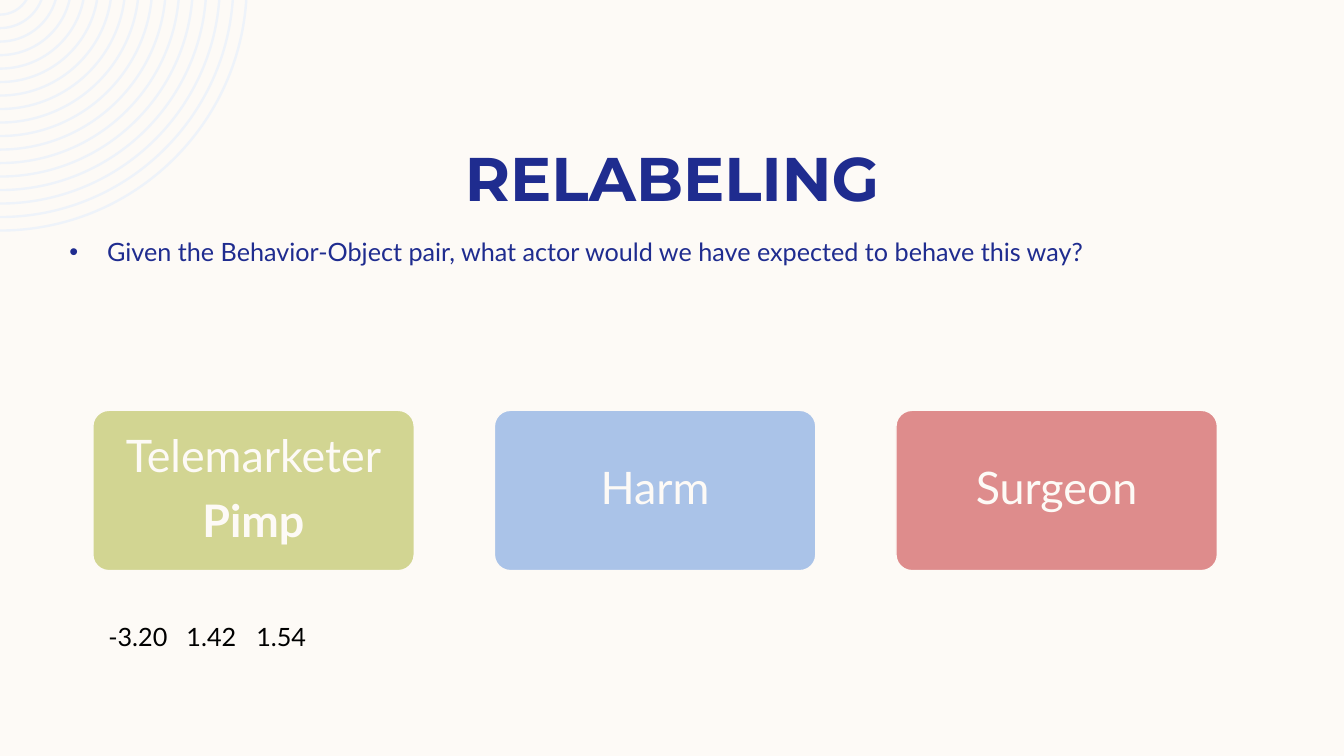
import math
from dataclasses import dataclass

import pptx
import pptx.dml.color
import pptx.enum.shapes
import pptx.enum.text
import pptx.util
from lxml import etree

Cm, Pt = pptx.util.Cm, pptx.util.Pt
qn = pptx.oxml.ns.qn
ALIGN = pptx.enum.text.PP_ALIGN
ANCHOR = pptx.enum.text.MSO_ANCHOR

TITLE = "RELABELING"
QUESTION = ("Given the Behavior-Object pair, what actor would we have "
            "expected to behave this way?")
CARDS = [  # lines as (text, bold), fill
    ([("Telemarketer", False), ("Pimp", True)], "D2D592"),
    ([("Harm", False)], "AAC3E8"),
    ([("Surgeon", False)], "DE8C8C"),
]
RATINGS = ["-3.20", "1.42", "1.54"]
RATING_STOPS = [1.97, 3.73]


@dataclass(frozen=True)
class Theme:
    paper: str = "FDFAF6"
    ring: str = "EEF3FA"
    navy: str = "1F2C8F"
    black: str = "000000"
    heading: str = "Montserrat"
    body: str = "Lato"
    title_size: float = 44
    card_size: float = 32
    text_size: float = 18


THEME = Theme()
RING_COUNT, RING_OUTER, RING_STEP, RING_WIDTH = 17, 6.25, 0.34, 0.06
RING_CENTER_Y = -0.41
CARD_LEFT, CARD_TOP, CARD_W, CARD_H, CARD_PITCH = 2.34, 10.34, 8.1, 4.04, 10.12


def rgb(value):
    return pptx.dml.color.RGBColor.from_string(value)


def format_runs(p, size, color, font=THEME.body, bold=False):
    for r in p.runs:
        r.font.size = Pt(size)
        r.font.name = font
        r.font.bold = bold
        r.font.color.rgb = rgb(color)


def add_text(s, box, text):
    tf = s.shapes.add_textbox(*map(Cm, box)).text_frame
    tf.word_wrap = True
    tf.text = text
    return tf


def add_bullet(p, indent):
    pPr = p._p.get_or_add_pPr()
    pPr.set("marL", str(indent))
    pPr.set("indent", str(-indent))
    for tag, key, value in (("buFont", "typeface", "Arial"), ("buChar", "char", "•")):
        etree.SubElement(pPr, qn("a:" + tag)).set(key, value)


def add_tab_stops(p, stops):
    tabs = etree.SubElement(p._p.get_or_add_pPr(), qn("a:tabLst"))
    for stop in stops:
        tab = etree.SubElement(tabs, qn("a:tab"))
        tab.set("pos", str(Cm(stop)))
        tab.set("algn", "l")


def arc(radius):
    """Four Bezier points from the top edge of the slide to its left edge."""
    start = math.asin(-RING_CENTER_Y / radius)
    pull = radius * 4 / 3 * math.tan((math.pi / 2 - start) / 4)
    x, y = radius * math.cos(start), 0
    bottom = RING_CENTER_Y + radius
    points = [(x, y),
              (x - pull * math.sin(start), y + pull * math.cos(start)),
              (pull, bottom), (0, bottom)]
    return [(Cm(px), Cm(py)) for px, py in points]


def curve_segments(path):
    """Turn the first and last three segments of every contour into curves."""
    segments = []
    for node in list(path):
        if node.tag == qn("a:lnTo"):
            segments.append(node)
        elif node.tag == qn("a:close"):
            for first, *rest in (segments[:3], segments[4:7]):
                first.tag = qn("a:cubicBezTo")
                for segment in rest:
                    first.append(segment[0])
                    path.remove(segment)
            segments = []


def add_rings(s):
    builder = None
    for i in range(RING_COUNT):
        outer = RING_OUTER - i * RING_STEP
        points = arc(outer) + arc(outer - RING_WIDTH)[::-1]
        if builder is None:
            builder = s.shapes.build_freeform(*points[0])
        else:
            builder.move_to(*points[0])
        builder.add_line_segments(points[1:], close=True)
    sp = builder.convert_to_shape()
    curve_segments(next(sp._element.iter(qn("a:path"))))
    sp.shadow.inherit = False
    sp.fill.solid()
    sp.fill.fore_color.rgb = rgb(THEME.ring)
    sp.line.fill.background()


def add_card(s, index, lines, fill):
    sp = s.shapes.add_shape(
        pptx.enum.shapes.MSO_SHAPE.ROUNDED_RECTANGLE,
        Cm(CARD_LEFT + index * CARD_PITCH), Cm(CARD_TOP), Cm(CARD_W), Cm(CARD_H))
    sp.adjustments[0] = 0.1
    sp.shadow.inherit = False
    sp.fill.solid()
    sp.fill.fore_color.rgb = rgb(fill)
    sp.line.color.rgb = rgb(THEME.paper)
    sp.line.width = Pt(1)
    tf = sp.text_frame
    tf.word_wrap = True
    tf.vertical_anchor = ANCHOR.MIDDLE
    tf.text = "\n".join(text for text, _ in lines)
    for p, (_, bold) in zip(tf.paragraphs, lines):
        p.alignment = ALIGN.CENTER
        p.line_spacing = 0.9
        p.space_after = Pt(0.35 * THEME.card_size)
        format_runs(p, THEME.card_size, THEME.paper, bold=bold)


def main():
    prs = pptx.Presentation()
    prs.slide_width, prs.slide_height = Cm(33.87), Cm(19.05)
    s = prs.slides.add_slide(prs.slide_layouts[6])
    s.background.fill.solid()
    s.background.fill.fore_color.rgb = rgb(THEME.paper)

    add_rings(s)

    tf = add_text(s, (2.12, 3.38, 29.64, 2.13), TITLE)
    tf.vertical_anchor = ANCHOR.MIDDLE
    tf.paragraphs[0].alignment = ALIGN.CENTER
    format_runs(tf.paragraphs[0], THEME.title_size, THEME.navy, THEME.heading, True)

    p = add_text(s, (1.5, 5.84, 30.89, 12.32), QUESTION).paragraphs[0]
    add_bullet(p, Cm(0.95))
    format_runs(p, THEME.text_size, THEME.navy)

    for index, (lines, fill) in enumerate(CARDS):
        add_card(s, index, lines, fill)

    p = add_text(s, (2.48, 15.52, 7.9, 1.02), "\t".join(RATINGS)).paragraphs[0]
    add_tab_stops(p, RATING_STOPS)
    format_runs(p, THEME.text_size, THEME.black)

    prs.save("out.pptx")


if __name__ == "__main__":
    main()
